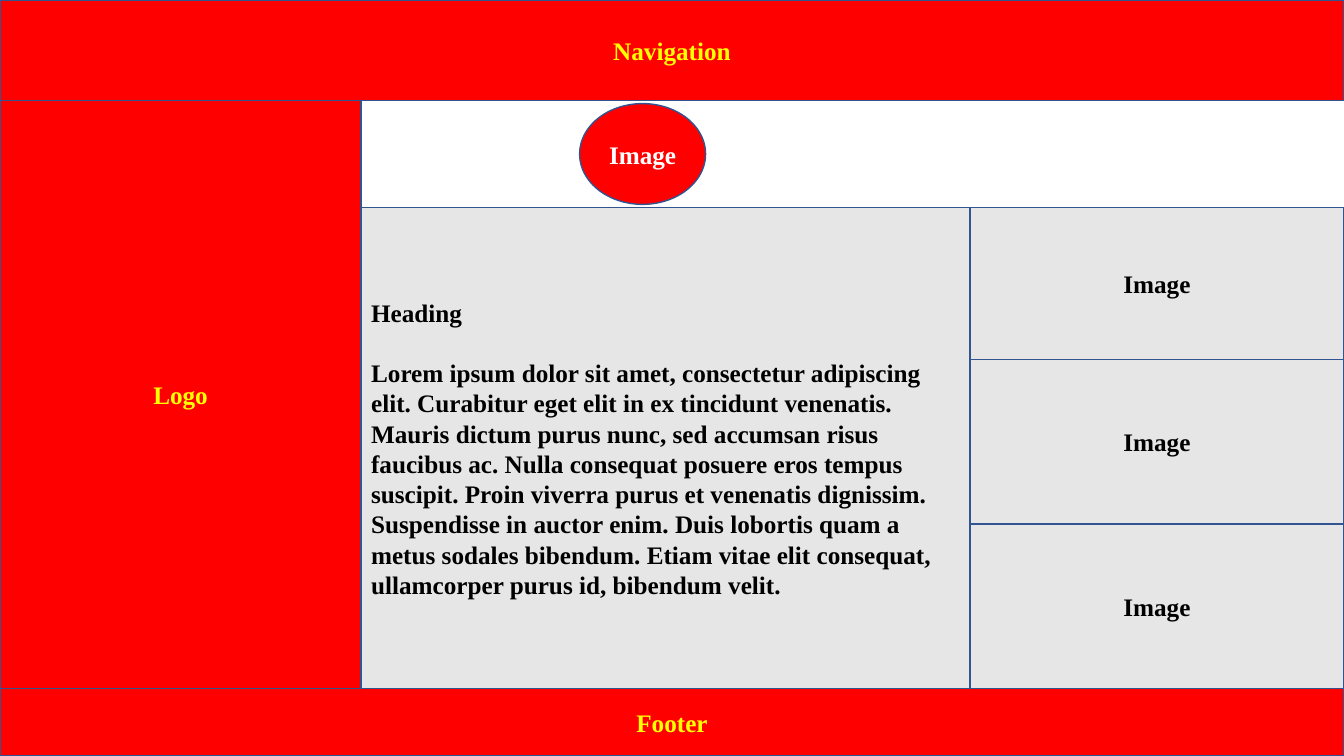
from itertools import pairwise

from pptx import Presentation
from pptx import util as u
from pptx.dml.color import RGBColor
from pptx.enum import shapes, text

COLOURS = {
    "red": "FF0000",
    "grey": "E7E6E6",
    "outline": "325491",
    "yellow": "FFFF00",
    "white": "FFFFFF",
    "black": "000000",
}
LOREM = (
    "Lorem ipsum dolor sit amet, consectetur adipiscing elit. "
    "Curabitur eget elit in ex tincidunt venenatis. "
    "Mauris dictum purus nunc, sed accumsan risus faucibus ac. "
    "Nulla consequat posuere eros tempus suscipit. "
    "Proin viverra purus et venenatis dignissim. "
    "Suspendisse in auctor enim. Duis lobortis quam a metus sodales bibendum. "
    "Etiam vitae elit consequat, ullamcorper purus id, bibendum velit."
)
WIDTH, HEIGHT = 960, 540
NAVIGATION_BOTTOM, CONTENT_TOP, FOOTER_TOP = 72, 148.3, 492
LOGO_RIGHT, ARTICLE_RIGHT = 258, 692.8
IMAGE_EDGES = [CONTENT_TOP, 257, 374.2, FOOTER_TOP]


class Wireframe:
    """Draws labelled page regions in one style on the current slide."""

    font_name = "Times New Roman"
    font_size = u.Pt(18)
    paragraph_gap = u.Pt(21.6)

    def __init__(self, slide):
        self.slide = slide

    def colour(self, name):
        return RGBColor.from_string(COLOURS[name])

    def region(self, kind, left, top, right, bottom, fill, ink, lines,
               alignment=text.PP_ALIGN.CENTER):
        shape = self.slide.shapes.add_shape(
            kind, u.Pt(left), u.Pt(top), u.Pt(right - left), u.Pt(bottom - top))
        shape.shadow.inherit = False
        shape.fill.solid()
        shape.fill.fore_color.rgb = self.colour(fill)
        shape.line.color.rgb = self.colour("outline")
        shape.line.width = u.Pt(1)
        frame = shape.text_frame
        frame.word_wrap = True
        frame.vertical_anchor = text.MSO_ANCHOR.MIDDLE
        frame.text = "\n".join(lines)
        for paragraph in frame.paragraphs:
            paragraph.alignment = alignment
            paragraph.font.name = self.font_name
            paragraph.font.size = self.font_size
            paragraph.font.bold = True
            paragraph.font.color.rgb = self.colour(ink)
        for paragraph in frame.paragraphs[:-1]:
            paragraph.space_after = self.paragraph_gap

    def banner(self, left, top, right, bottom, label):
        self.region(shapes.MSO_SHAPE.RECTANGLE, left, top, right, bottom,
                    "red", "yellow", [label])

    def badge(self, left, top, right, bottom, label):
        self.region(shapes.MSO_SHAPE.OVAL, left, top, right, bottom,
                    "red", "white", [label])

    def panel(self, left, top, right, bottom, lines,
              alignment=text.PP_ALIGN.CENTER):
        self.region(shapes.MSO_SHAPE.RECTANGLE, left, top, right, bottom,
                    "grey", "black", lines, alignment)


def main():
    presentation = Presentation()
    presentation.slide_width = u.Pt(WIDTH)
    presentation.slide_height = u.Pt(HEIGHT)
    page = Wireframe(presentation.slides.add_slide(presentation.slide_layouts[6]))

    page.banner(0, 0, WIDTH, NAVIGATION_BOTTOM, "Navigation")
    page.banner(0, NAVIGATION_BOTTOM, LOGO_RIGHT, FOOTER_TOP, "Logo")
    page.badge(414, 74, 504, 146, "Image")
    page.banner(0, FOOTER_TOP, WIDTH, 539.5, "Footer")
    page.panel(LOGO_RIGHT, CONTENT_TOP, ARTICLE_RIGHT, FOOTER_TOP,
               ["Heading", LOREM], text.PP_ALIGN.LEFT)
    for top, bottom in pairwise(IMAGE_EDGES):
        page.panel(ARTICLE_RIGHT, top, WIDTH, bottom, ["Image"])

    presentation.save("out.pptx")


if __name__ == "__main__":
    main()
